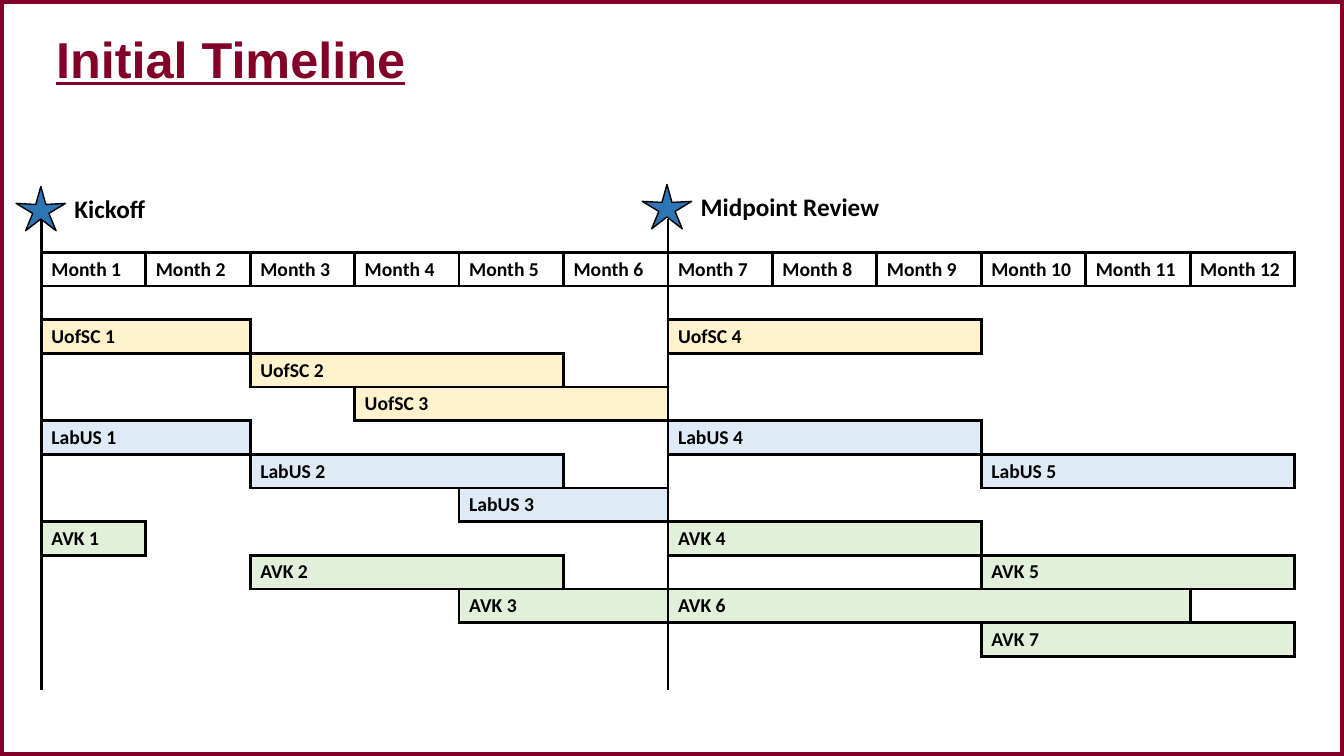
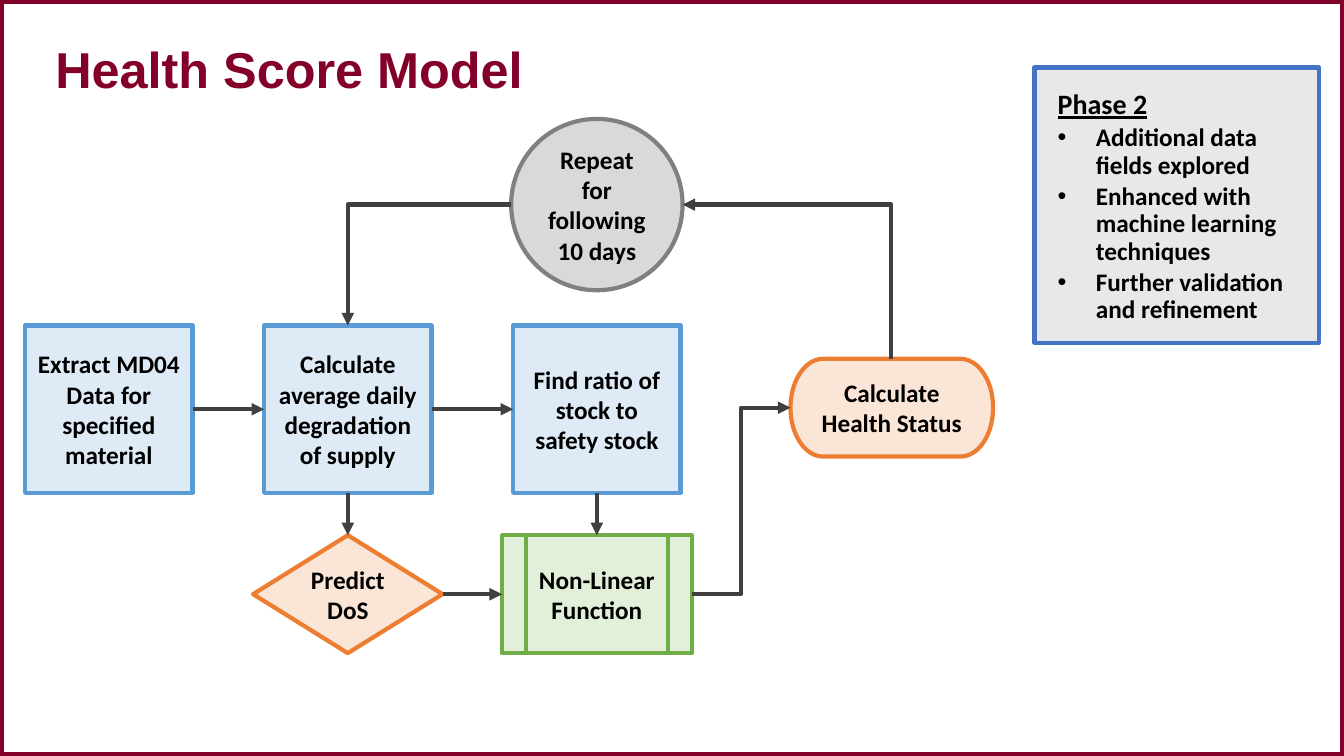
from lxml import etree
from pptx import Presentation
from pptx.dml.color import RGBColor
from pptx.enum.shapes import MSO_CONNECTOR, MSO_SHAPE
from pptx.enum.text import MSO_ANCHOR, PP_ALIGN
from pptx.oxml.ns import qn
from pptx.util import Pt

PX = 9144
WIDTH, HEIGHT = 1333, 750
BLANK = 6
TOP, LEFT, BOTTOM, RIGHT = range(4)
OVAL_LEFT, OVAL_RIGHT = 2, 6
STRAIGHT, ELBOW = MSO_CONNECTOR.STRAIGHT, MSO_CONNECTOR.ELBOW
RECT, STAR, OVAL = MSO_SHAPE.RECTANGLE, MSO_SHAPE.STAR_5_POINT, MSO_SHAPE.OVAL
DIAMOND = MSO_SHAPE.DIAMOND
PROCESS = MSO_SHAPE.FLOWCHART_PREDEFINED_PROCESS
TERMINATOR = MSO_SHAPE.FLOWCHART_TERMINATOR
MIDDLE, ANCHOR_TOP = MSO_ANCHOR.MIDDLE, MSO_ANCHOR.TOP
CENTER, ALIGN_LEFT = PP_ALIGN.CENTER, PP_ALIGN.LEFT

COLORS = {
    "garnet": "830028", "black": "000000", "star": "2E75B6",
    "yellow": "FFF2CC", "pale_blue": "DEEBF7", "pale_green": "E2F0D9",
    "blue": "5B9BD5", "green": "70AD47", "peach": "FBE5D6", "orange": "ED7D31",
    "silver": "D9D9D9", "gray": "808080", "arrow": "404040",
    "note": "E7E6E6", "note_line": "4472C4",
}
MONTHS, ROWS = 12, 14
HEADER_ROW, MIDPOINT = 1, 6
SCHEDULE = [
    ("UofSC", "yellow", [(3, 0, 2), (4, 2, 3), (5, 3, 3), (3, 6, 3)]),
    ("LabUS", "pale_blue",
     [(6, 0, 2), (7, 2, 3), (8, 4, 2), (6, 6, 3), (7, 9, 3)]),
    ("AVK", "pale_green",
     [(9, 0, 1), (10, 2, 3), (11, 4, 2), (9, 6, 3), (10, 9, 3),
      (11, 6, 5), (12, 9, 3)]),
]


def px(*lengths):
    return [round(length * PX) for length in lengths]


def color(name):
    return RGBColor.from_string(COLORS[name])


def add_span(para, text, size, font="Calibri", tint="black", underline=False):
    span = para.add_run()
    span.text = text
    span.font.size = Pt(size)
    span.font.name = font
    span.font.bold = True
    span.font.underline = underline
    span.font.color.rgb = color(tint)


def add_box(page, kind, box, fill, line, weight):
    shape = page.shapes.add_shape(kind, *px(*box))
    shape.shadow.inherit = False
    if fill:
        shape.fill.solid()
        shape.fill.fore_color.rgb = color(fill)
    else:
        shape.fill.background()
    shape.line.color.rgb = color(line)
    shape.line.width = Pt(weight)
    return shape


def add_text(page, box, text, size, **style):
    frame = page.shapes.add_textbox(*px(*box)).text_frame
    frame.word_wrap = True
    add_span(frame.paragraphs[0], text, size, **style)
    return frame


def add_page(deck, title, left, top, underline=False):
    page = deck.slides.add_slide(deck.slide_layouts[BLANK])
    add_box(page, RECT, (0, 0, WIDTH, HEIGHT), None, "garnet", 6)
    frame = add_text(page, (left, top, 1243, 93), title, 36, font="Arial",
                     tint="garnet", underline=underline)
    frame.vertical_anchor = MIDDLE
    frame.paragraphs[0].line_spacing = 0.9
    return page


def set_borders(cell, sides):
    properties = cell._tc.get_or_add_tcPr()
    for side in "LRTB":
        line = etree.SubElement(properties, qn("a:ln" + side))
        if side in sides:
            line.set("w", str(Pt(2.25)))
            fill = etree.SubElement(line, qn("a:solidFill"))
            etree.SubElement(fill, qn("a:srgbClr"), val=COLORS["black"])
        else:
            line.set("w", "0")
            etree.SubElement(line, qn("a:noFill"))


def timeline_bars():
    bars = [(HEADER_ROW, month, 1, f"Month {month + 1}", None)
            for month in range(MONTHS)]
    for team, fill, places in SCHEDULE:
        for number, (row, start, length) in enumerate(places, 1):
            bars.append((row, start, length, f"{team} {number}", fill))
    return bars


def add_timeline(page, left, top, width, height):
    table = page.shapes.add_table(
        ROWS, MONTHS, *px(left, top, width, height)).table
    table.first_row = table.horz_banding = False
    for column in table.columns:
        column.width = round(width * PX / MONTHS)
    for row in table.rows:
        row.height = round(height * PX / ROWS)

    bars = timeline_bars()
    fills = {(row, start + step): fill
             for row, start, length, _, fill in bars for step in range(length)}
    for row in range(ROWS):
        for column in range(MONTHS):
            cell = table.cell(row, column)
            around = {"L": (row, column - 1), "R": (row, column + 1),
                      "T": (row - 1, column), "B": (row + 1, column)}
            place = (row, column)
            sides = {side for side, near in around.items()
                     if place in fills or near in fills}
            if column in (0, MIDPOINT):
                sides.add("L")
            if column == MIDPOINT - 1:
                sides.add("R")
            set_borders(cell, sides)
            if fills.get(place):
                cell.fill.solid()
                cell.fill.fore_color.rgb = color(fills[place])
            else:
                cell.fill.background()
            etree.SubElement(cell.text_frame.paragraphs[0]._p,
                             qn("a:endParaRPr"), sz="1400")
    for row, start, length, label, _ in bars:
        cell = table.cell(row, start)
        if length > 1:
            cell.merge(table.cell(row, start + length - 1))
        add_span(cell.text_frame.paragraphs[0], label, 14)


def add_milestone(page, left, top, label):
    star = add_box(page, STAR, (left, top, 49, 44), "star", "black", 1)
    star.adjustments[0] = 0.164
    add_text(page, (left + 48, top + 2, 201, 40), label, 18)


def add_step(page, kind, box, text, fill, line):
    shape = add_box(page, kind, box, fill, line, 3)
    frame = shape.text_frame
    frame.word_wrap = True
    frame.vertical_anchor = MIDDLE
    frame.paragraphs[0].alignment = CENTER
    add_span(frame.paragraphs[0], text, 18)
    return shape


def add_arrow(page, kind, ends=(0, 0, 0, 0)):
    arrow = page.shapes.add_connector(kind, *px(*ends))
    arrow.line.color.rgb = color("arrow")
    arrow.line.width = Pt(3)
    etree.SubElement(arrow.line._get_or_add_ln(), qn("a:tailEnd"),
                     type="triangle")
    etree.SubElement(arrow._element.spPr, qn("a:effectLst"))
    return arrow


def join(page, kind, source, source_side, target, target_side):
    arrow = add_arrow(page, kind)
    arrow.begin_connect(source, source_side)
    arrow.end_connect(target, target_side)


def add_corner(page, ends, source, source_site, target, target_site, turn=0):
    arrow = add_arrow(page, ELBOW, ends)
    properties = arrow._element.spPr
    properties.find(qn("a:prstGeom")).set("prst", "bentConnector2")
    if turn:
        properties.find(qn("a:xfrm")).set("rot", str(turn * 60000))
    joints = arrow._element.find(".//" + qn("p:cNvCxnSpPr"))
    for tag, shape, site in (("a:stCxn", source, source_site),
                             ("a:endCxn", target, target_site)):
        etree.SubElement(joints, qn(tag), id=str(shape.shape_id),
                         idx=str(site))


def add_flow(page, left, top):
    def step(kind, x, y, width, height, text, fill, line):
        return add_step(page, kind, (left + x, top + y, width, height),
                        text, fill, line)

    extract, average, ratio = [
        step(RECT, x, 205, 166, 166, text, "pale_blue", "blue")
        for x, text in (
            (0, "Extract MD04 Data for specified material"),
            (237, "Calculate average daily degradation of supply"),
            (484, "Find ratio of stock to safety stock"))]
    repeat = step(OVAL, 482, 0, 170, 170, "Repeat for following 10 days",
                  "silver", "gray")
    predict = step(DIAMOND, 226, 413, 188, 117, "Predict DoS",
                   "peach", "orange")
    function = step(PROCESS, 473, 413, 188, 117, "Non-Linear Function",
                    "pale_green", "green")
    status = step(TERMINATOR, 759, 238, 201, 97, "Calculate Health Status",
                  "peach", "orange")

    for source, side, target, target_side in (
            (extract, RIGHT, average, LEFT), (average, RIGHT, ratio, LEFT),
            (average, BOTTOM, predict, TOP), (predict, RIGHT, function, LEFT),
            (ratio, BOTTOM, function, TOP)):
        join(page, STRAIGHT, source, side, target, target_side)
    join(page, ELBOW, function, RIGHT, status, LEFT)
    add_corner(page, (left + 679, top + 265, left + 832, top + 58),
               status, TOP, repeat, OVAL_RIGHT, turn=270)
    add_corner(page, (left + 482, top + 85, left + 320, top + 205),
               repeat, OVAL_LEFT, average, TOP)


def add_note(page, box, heading, points):
    shape = add_box(page, RECT, box, "note", "note_line", 3)
    tint = shape._element.spPr.find(qn("a:solidFill"))[0]
    etree.SubElement(tint, qn("a:alpha"), val="90000")
    frame = shape.text_frame
    frame.word_wrap = True
    frame.vertical_anchor = ANCHOR_TOP
    frame.margin_left = frame.margin_right = 23 * PX
    frame.margin_top = frame.margin_bottom = 23 * PX
    for index, text in enumerate([heading] + points):
        para = frame.add_paragraph() if index else frame.paragraphs[0]
        para.alignment = ALIGN_LEFT
        para.line_spacing = 0.9
        para.space_after = Pt(3)
        if index:
            properties = para._p.get_or_add_pPr()
            properties.set("marL", str(38 * PX))
            properties.set("indent", str(-38 * PX))
            etree.SubElement(properties, qn("a:buFont"), typeface="Arial")
            etree.SubElement(properties, qn("a:buChar"), char="•")
        add_span(para, text, 18 if index else 20, underline=not index)


def build_timeline_slide(deck):
    page = add_page(deck, "Initial Timeline", 46, 15, underline=True)
    add_timeline(page, 41, 217, 1243, 467)
    add_milestone(page, 637, 183, "Midpoint Review")
    add_milestone(page, 16, 185, "Kickoff")


def build_model_slide(deck):
    page = add_page(deck, "Health Score Model", 45, 25)
    add_flow(page, 25, 118)
    add_note(page, (1026, 67, 282, 273), "Phase 2", [
        "Additional data fields explored",
        "Enhanced with machine learning techniques",
        "Further validation and refinement"])


def main():
    deck = Presentation()
    deck.slide_width, deck.slide_height = px(WIDTH, HEIGHT)
    build_timeline_slide(deck)
    build_model_slide(deck)
    deck.save("out.pptx")


if __name__ == "__main__":
    main()
